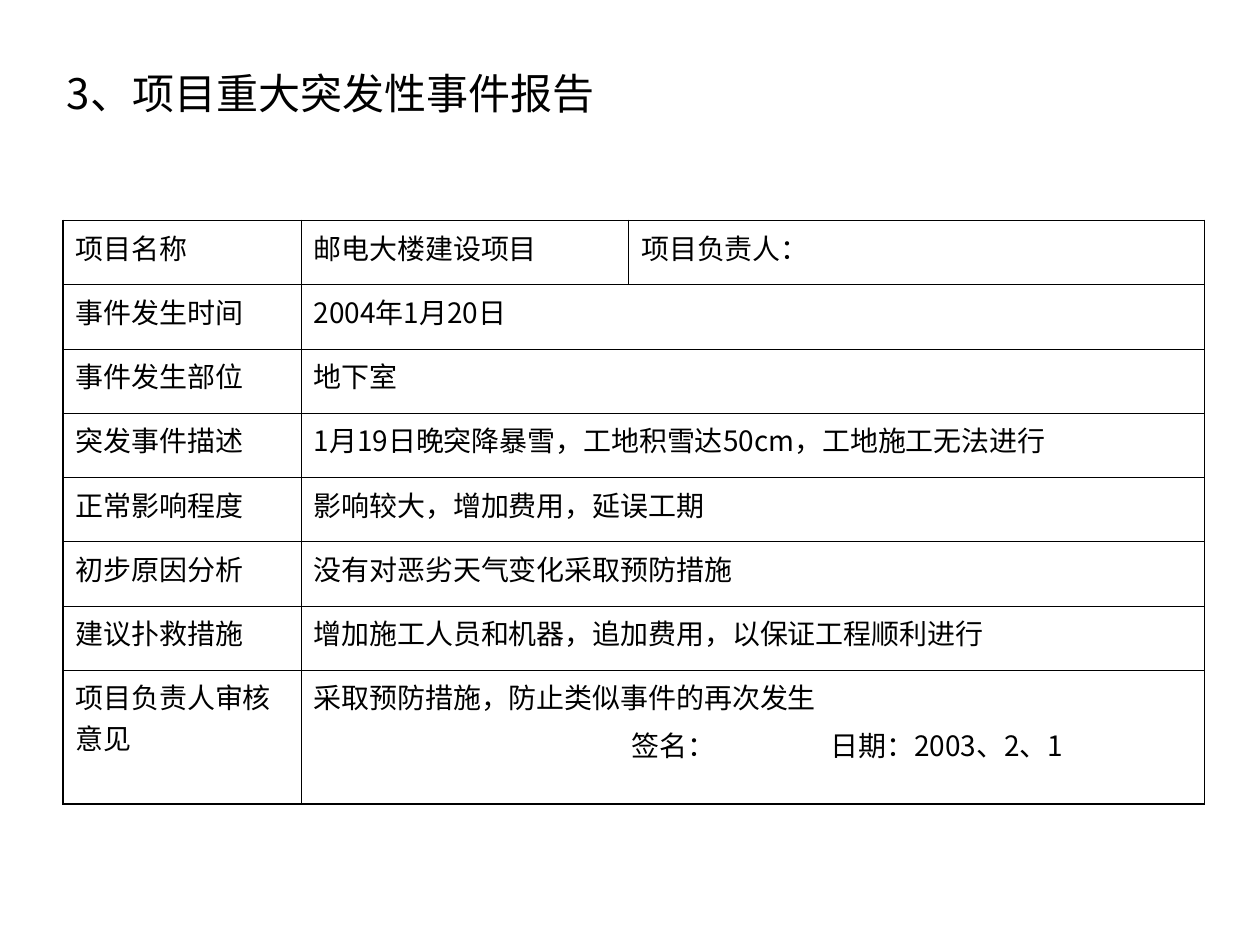
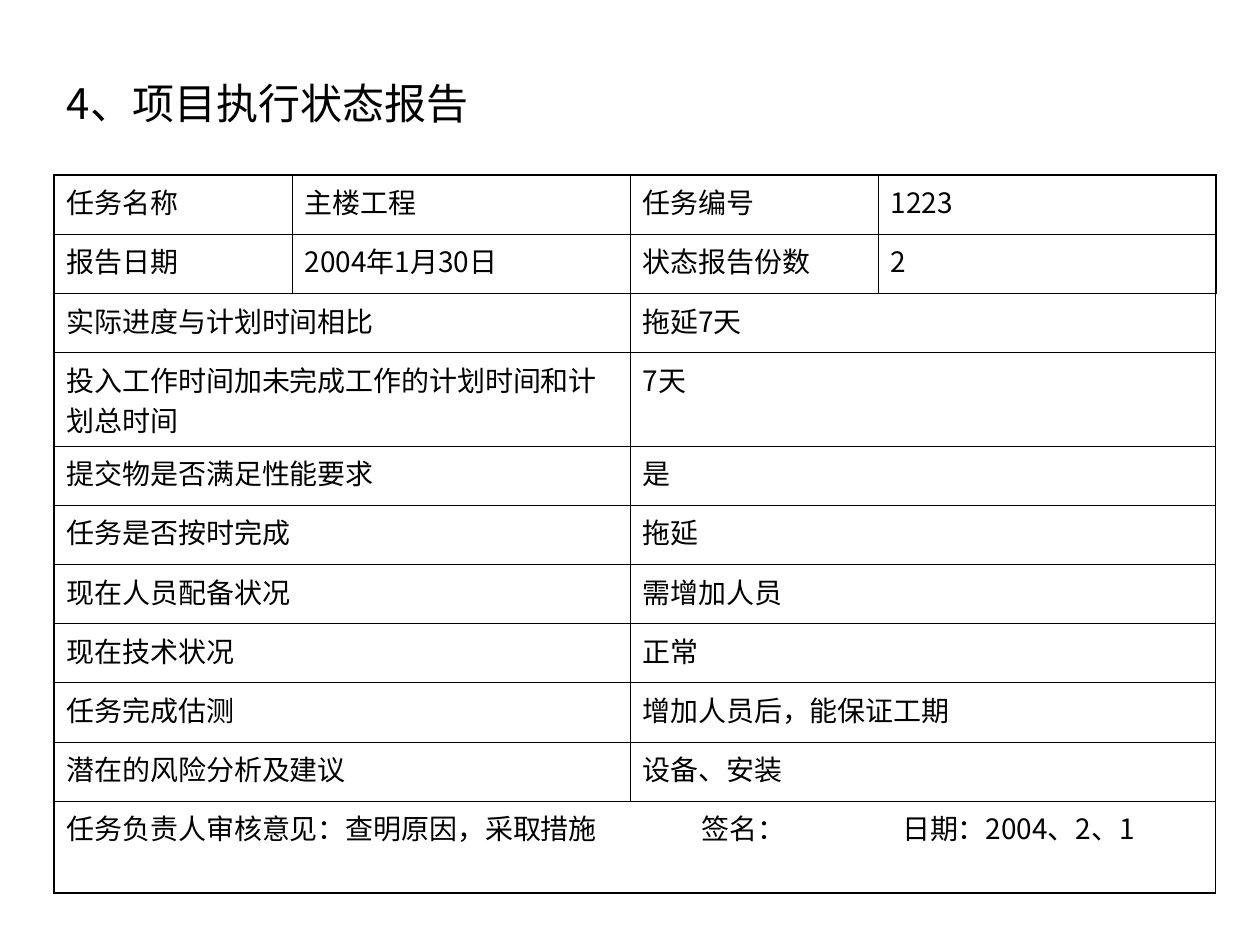
from dataclasses import dataclass

from lxml.etree import SubElement
from pptx import Presentation
from pptx.dml.color import RGBColor
from pptx.enum.text import MSO_ANCHOR, MSO_AUTO_SIZE, PP_ALIGN
from pptx.oxml.ns import qn
from pptx.slide import Slide
from pptx.table import Table, _Cell as Cell
from pptx.text.text import _Paragraph as Paragraph
from pptx.util import Inches, Pt


@dataclass(frozen=True)
class Theme:
    font: str = "Noto Sans CJK SC"
    ink: str = "000000"
    title_size: float = 24
    cell_size: float = 16
    paragraph_gap: float = 4
    outer_line: float = 1.08
    inner_line: float = 0.45


@dataclass(frozen=True)
class Entry:
    text: str
    span: int = 1
    stops: tuple[float, ...] = ()


@dataclass(frozen=True)
class Report:
    title: str
    title_top: float
    left: float
    top: float
    columns: tuple[float, ...]
    heights: tuple[float, ...]
    rows: tuple[tuple[Entry, ...], ...]


THEME = Theme()
TITLE_LEFT, TITLE_WIDTH, TITLE_HEIGHT = 0.43, 9.21, 0.75


def pair(label: str, value: str, label_span: int = 1,
         stops: tuple[float, ...] = ()) -> tuple[Entry, ...]:
    return Entry(label, label_span), Entry(value, 2, stops)


INCIDENT = Report(
    "3、项目重大突发性事件报告", 0.36, 0.5, 1.75,
    (1.89, 2.6, 4.57),
    (0.51,) * 7 + (1.06,),
    (
        (Entry("项目名称"), Entry("邮电大楼建设项目"), Entry("项目负责人：")),
        pair("事件发生时间", "2004年1月20日"),
        pair("事件发生部位", "地下室"),
        pair("突发事件描述", "1月19日晚突降暴雪，工地积雪达50cm，工地施工无法进行"),
        pair("正常影响程度", "影响较大，增加费用，延误工期"),
        pair("初步原因分析", "没有对恶劣天气变化采取预防措施"),
        pair("建议扑救措施", "增加施工人员和机器，追加费用，以保证工程顺利进行"),
        pair("项目负责人审核意见",
             "采取预防措施，防止类似事件的再次发生\n\t签名：\t日期：2003、2、1",
             stops=(2.52, 4.1)),
    ),
)

STATUS = Report(
    "4、项目执行状态报告", 0.44, 0.43, 1.39,
    (1.89, 2.68, 1.97, 2.68),
    (0.47,) * 3 + (0.73,) + (0.47,) * 6 + (0.73,),
    (
        (Entry("任务名称"), Entry("主楼工程"), Entry("任务编号"), Entry("1223")),
        (Entry("报告日期"), Entry("2004年1月30日"), Entry("状态报告份数"), Entry("2")),
        pair("实际进度与计划时间相比", "拖延7天", 2),
        pair("投入工作时间加未完成工作的计划时间和计划总时间", "7天", 2),
        pair("提交物是否满足性能要求", "是", 2),
        pair("任务是否按时完成", "拖延", 2),
        pair("现在人员配备状况", "需增加人员", 2),
        pair("现在技术状况", "正常", 2),
        pair("任务完成估测", "增加人员后，能保证工期", 2),
        pair("潜在的风险分析及建议", "设备、安装", 2),
        (Entry("任务负责人审核意见：查明原因，采取措施\t签名：\t日期：2004、2、1",
               4, (5.04, 6.63)),),
    ),
)


def style_paragraph(paragraph: Paragraph, size: float) -> None:
    paragraph.alignment = PP_ALIGN.LEFT
    font = paragraph.font
    font.name = THEME.font
    font.size = Pt(size)
    font.color.rgb = RGBColor.from_string(THEME.ink)
    properties = paragraph._p.get_or_add_pPr().get_or_add_defRPr()
    SubElement(properties, qn("a:ea"), typeface=THEME.font)


def add_tab_stops(paragraph: Paragraph, stops: tuple[float, ...]) -> None:
    tabs = SubElement(paragraph._p.get_or_add_pPr(), qn("a:tabLst"))
    for stop in stops:
        SubElement(tabs, qn("a:tab"), pos=str(Inches(stop)), algn="l")


def draw_title(page: Slide, report: Report) -> None:
    title = page.shapes.title
    title.left, title.top = Inches(TITLE_LEFT), Inches(report.title_top)
    title.width, title.height = Inches(TITLE_WIDTH), Inches(TITLE_HEIGHT)
    frame = title.text_frame
    frame.text = report.title
    frame.auto_size = MSO_AUTO_SIZE.NONE
    frame.vertical_anchor = MSO_ANCHOR.MIDDLE
    style_paragraph(frame.paragraphs[0], THEME.title_size)


def fill_cell(cell: Cell, entry: Entry) -> None:
    cell.text = entry.text
    for index, paragraph in enumerate(cell.text_frame.paragraphs):
        if entry.stops:
            add_tab_stops(paragraph, entry.stops)
        if index:
            paragraph.space_before = Pt(THEME.paragraph_gap)
        style_paragraph(paragraph, THEME.cell_size)


def draw_borders(table: Table) -> None:
    last_row, last_column = len(table.rows) - 1, len(table.columns) - 1
    for row in range(last_row + 1):
        for column in range(last_column + 1):
            cell = table.cell(row, column)
            outer_sides = {"L": column == 0, "R": column == last_column,
                           "T": row == 0, "B": row == last_row}
            properties = cell._tc.get_or_add_tcPr()
            for side, is_outer in outer_sides.items():
                width = THEME.outer_line if is_outer else THEME.inner_line
                line = SubElement(properties, qn(f"a:ln{side}"), w=str(Pt(width)))
                fill = SubElement(line, qn("a:solidFill"))
                SubElement(fill, qn("a:srgbClr"), val=THEME.ink)
            cell.fill.background()


def draw_table(page: Slide, report: Report) -> None:
    table = page.shapes.add_table(
        len(report.heights), len(report.columns),
        Inches(report.left), Inches(report.top),
        Inches(sum(report.columns)), Inches(sum(report.heights))).table
    table.first_row = table.horz_banding = False
    for column, width in zip(table.columns, report.columns):
        column.width = Inches(width)
    for row, height in zip(table.rows, report.heights):
        row.height = Inches(height)
    for row, entries in enumerate(report.rows):
        column = 0
        for entry in entries:
            cell = table.cell(row, column)
            if entry.span > 1:
                cell.merge(table.cell(row, column + entry.span - 1))
            fill_cell(cell, entry)
            column += entry.span
    draw_borders(table)


def main() -> None:
    deck = Presentation()
    deck.slide_width, deck.slide_height = Inches(10), Inches(7.5)
    title_only = deck.slide_layouts.get_by_name("Title Only")
    for report in (INCIDENT, STATUS):
        page = deck.slides.add_slide(title_only)
        draw_title(page, report)
        draw_table(page, report)
    deck.save("out.pptx")


if __name__ == "__main__":
    main()
